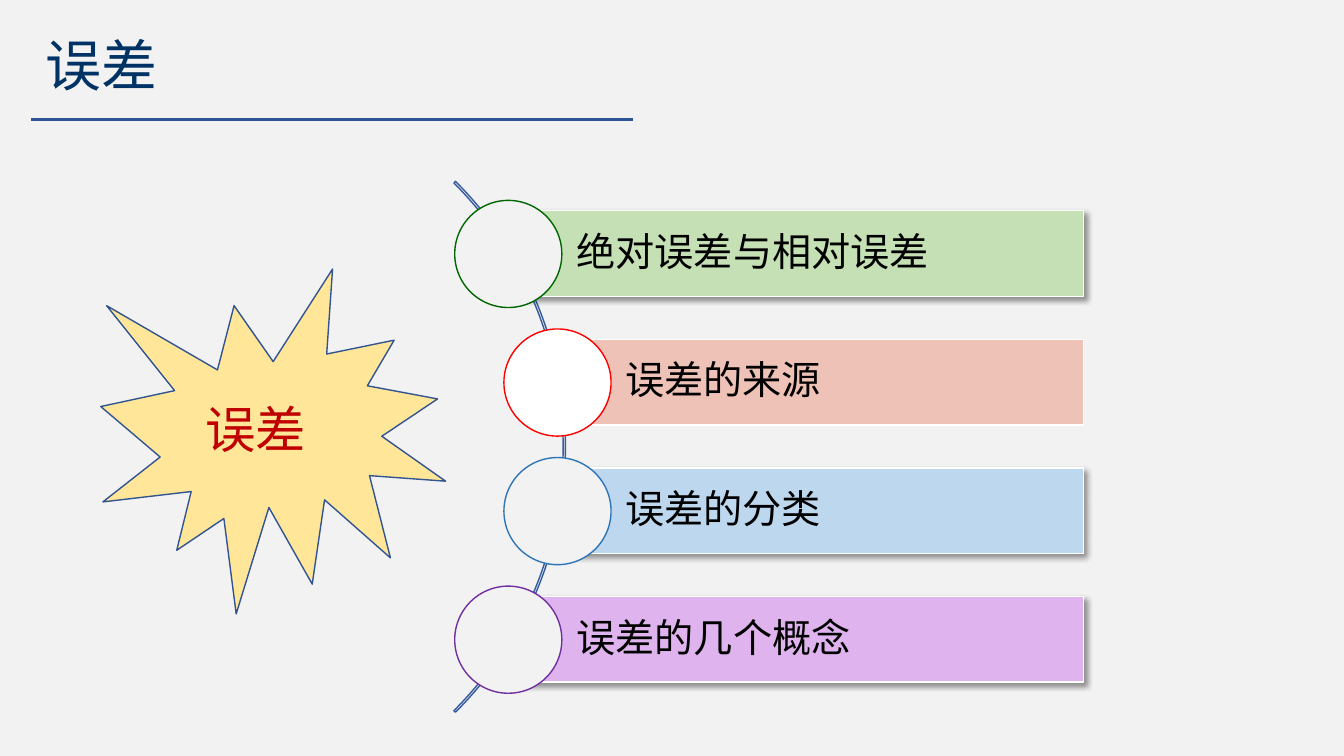
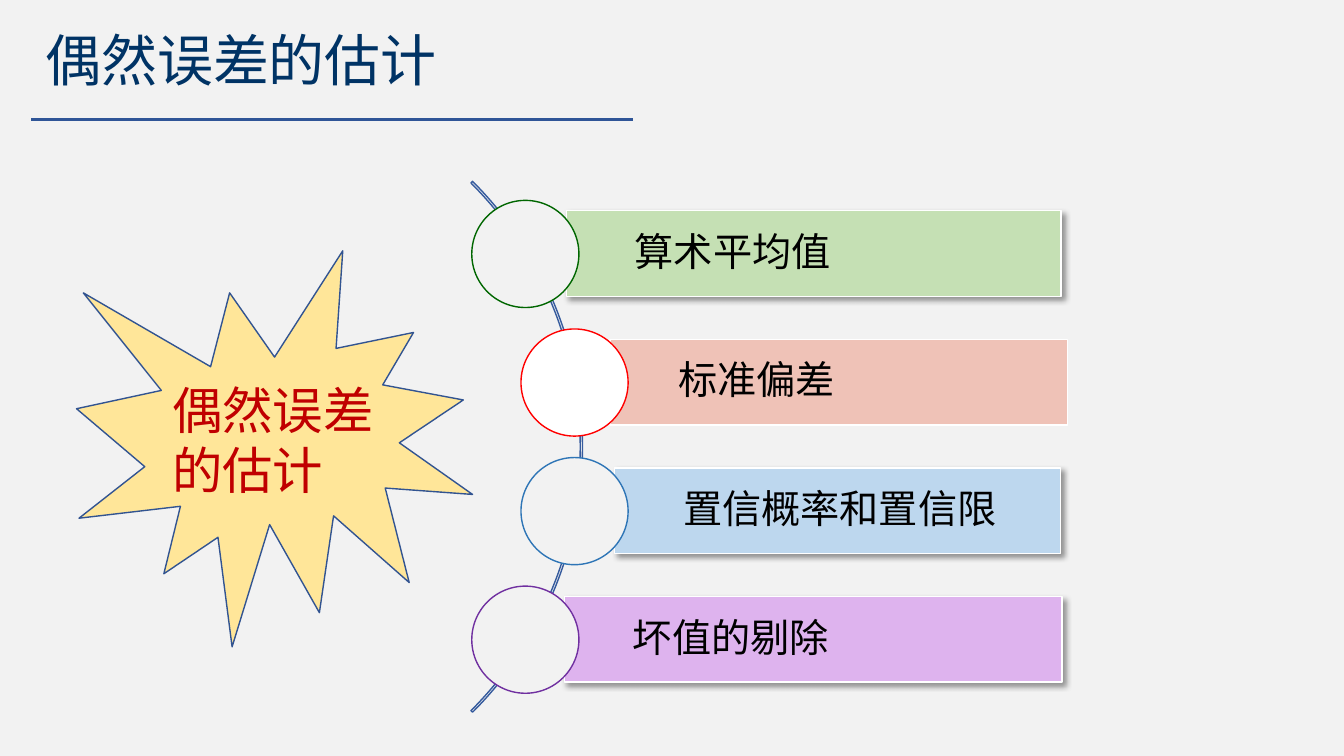
import pptx
import pptx.dml.color
import pptx.enum.shapes
import pptx.enum.text
import pptx.oxml
import pptx.oxml.ns
import pptx.util
import lxml.etree

Cm = pptx.util.Cm
Pt = pptx.util.Pt
SHAPES = pptx.enum.shapes.MSO_SHAPE
ANCHORS = pptx.enum.text.MSO_ANCHOR
ALIGNMENTS = pptx.enum.text.PP_ALIGN
qn = pptx.oxml.ns.qn


def color(hex_string):
    return pptx.dml.color.RGBColor.from_string(hex_string)


class Deck:
    chinese_font = "Noto Sans CJK SC"
    label_font = "Calibri"
    background = "F2F2F2"
    row_pitch = 3.24
    rows = [
        ("C5E0B4", "006600", background, True),
        ("EFC2B7", "FF0000", "FFFFFF", False),
        ("BDD7EE", "2E75B6", background, True),
        ("DEB3EE", "7030A0", background, True),
    ]
    circle_offsets = [16.13, 17.37, 17.37, 16.13]

    def __init__(self):
        self.presentation = pptx.Presentation()
        self.presentation.slide_width = Cm(33.87)
        self.presentation.slide_height = Cm(19.05)
        self.slide = None

    def new_slide(self):
        self.slide = self.presentation.slides.add_slide(self.presentation.slide_layouts[6])
        fill = self.slide.background.fill
        fill.solid()
        fill.fore_color.rgb = color(self.background)

    def add_text(self, frame, text, size, font_color, font_name=chinese_font, spacing=1.0):
        paragraph = frame.paragraphs[0]
        paragraph.alignment = ALIGNMENTS.LEFT
        paragraph.line_spacing = spacing
        run = paragraph.add_run()
        run.text = text
        run.font.size = Pt(size)
        run.font.name = font_name
        run.font.color.rgb = color(font_color)
        east_asian = lxml.etree.Element(qn("a:ea"), typeface=self.chinese_font)
        run.font._element.find(qn("a:latin")).addnext(east_asian)

    def text_box(self, box, text, size, font_color, wrap=True, spacing=1.0):
        frame = self.slide.shapes.add_textbox(*map(Cm, box)).text_frame
        frame.word_wrap = wrap
        self.add_text(frame, text, size, font_color, spacing=spacing)

    def shape(self, kind, box, fill, line):
        shape = self.slide.shapes.add_shape(kind, *map(Cm, box))
        shape.shadow.inherit = False
        if fill is None:
            shape.fill.background()
        else:
            shape.fill.solid()
            shape.fill.fore_color.rgb = color(fill)
        shape.line.color.rgb = color(line)
        shape.line.width = Pt(1)
        return shape

    def add_shadow(self, shape):
        effects = shape._element.spPr.find(qn("a:effectLst"))
        shadow = lxml.etree.SubElement(
            effects, qn("a:outerShdw"), blurRad=str(Pt(4)), dist=str(Pt(3)),
            dir="2700000", algn="tl", rotWithShape="0")
        black = lxml.etree.SubElement(shadow, qn("a:srgbClr"), val="000000")
        lxml.etree.SubElement(black, qn("a:alpha"), val="40000")

    def title(self, box, text):
        self.text_box(box, text, 40, "003365", spacing=0.8)
        rule = self.slide.shapes.add_connector(
            pptx.enum.shapes.MSO_CONNECTOR.STRAIGHT, Cm(0.79), Cm(3.02), Cm(15.95), Cm(3.02))
        rule.line.color.rgb = color("2F5597")
        rule.line.width = Pt(2.25)
        lxml.etree.SubElement(rule._element.spPr, qn("a:effectLst"))

    def burst(self, left, top, size, text_area, text, wrap):
        self.shape(SHAPES.EXPLOSION1, (left, top, size, size), "FFE699", "325491")
        self.text_box(text_area, text, 36, "C00000", wrap)

    def bar(self, box, text, fill, shadowed):
        bar = self.shape(SHAPES.RECTANGLE, box, fill, "FFFFFF")
        if shadowed:
            self.add_shadow(bar)
        frame = bar.text_frame
        frame.word_wrap = True
        frame.vertical_anchor = ANCHORS.MIDDLE
        frame.margin_left = Cm(1.73)
        frame.margin_top = frame.margin_right = frame.margin_bottom = Cm(0.2)
        self.add_text(frame, text, 28, "000000", self.label_font, 0.9)

    def arc_list(self, arc_left, items):
        arc = self.shape(SHAPES.BLOCK_ARC, (arc_left, 1.8, 18.92, 18.92), None, "365B9D")
        for index, value in enumerate((189, 27, 0.003)):
            arc.adjustments[index] = value
        for index, (text, left, width) in enumerate(items):
            bar_fill, ring, circle_fill, shadowed = self.rows[index]
            offset = index * self.row_pitch
            self.bar((left, 5.31 + offset, width, 2.16), text, bar_fill, shadowed)
            circle_left = arc_left + self.circle_offsets[index]
            self.shape(SHAPES.OVAL, (circle_left, 5.05 + offset, 2.7, 2.7), circle_fill, ring)


def main():
    deck = Deck()

    deck.new_slide()
    deck.title((0.89, 0.97, 3.61, 1.6), "误差")
    deck.burst(2.54, 6.78, 8.69, (4.93, 9.91, 3.07, 1.8), "误差", False)
    deck.arc_list(-4.67, [
        ("绝对误差与相对误差", 12.8, 14.5),
        ("误差的来源", 14.03, 13.28),
        ("误差的分类", 14.03, 13.28),
        ("误差的几个概念", 12.8, 14.5),
    ])

    deck.new_slide()
    deck.title((0.89, 0.84, 15.06, 1.47), "偶然误差的估计")
    deck.burst(1.93, 6.32, 9.98, (4.09, 9.42, 5.7, 3.33), "偶然误差的估计", True)
    deck.arc_list(-4.24, [
        ("算术平均值", 14.27, 12.47),
        ("标准偏差", 15.37, 11.53),
        ("置信概率和置信限", 15.49, 11.23),
        ("坏值的剔除", 14.22, 12.55),
    ])

    deck.presentation.save("out.pptx")


if __name__ == "__main__":
    main()
